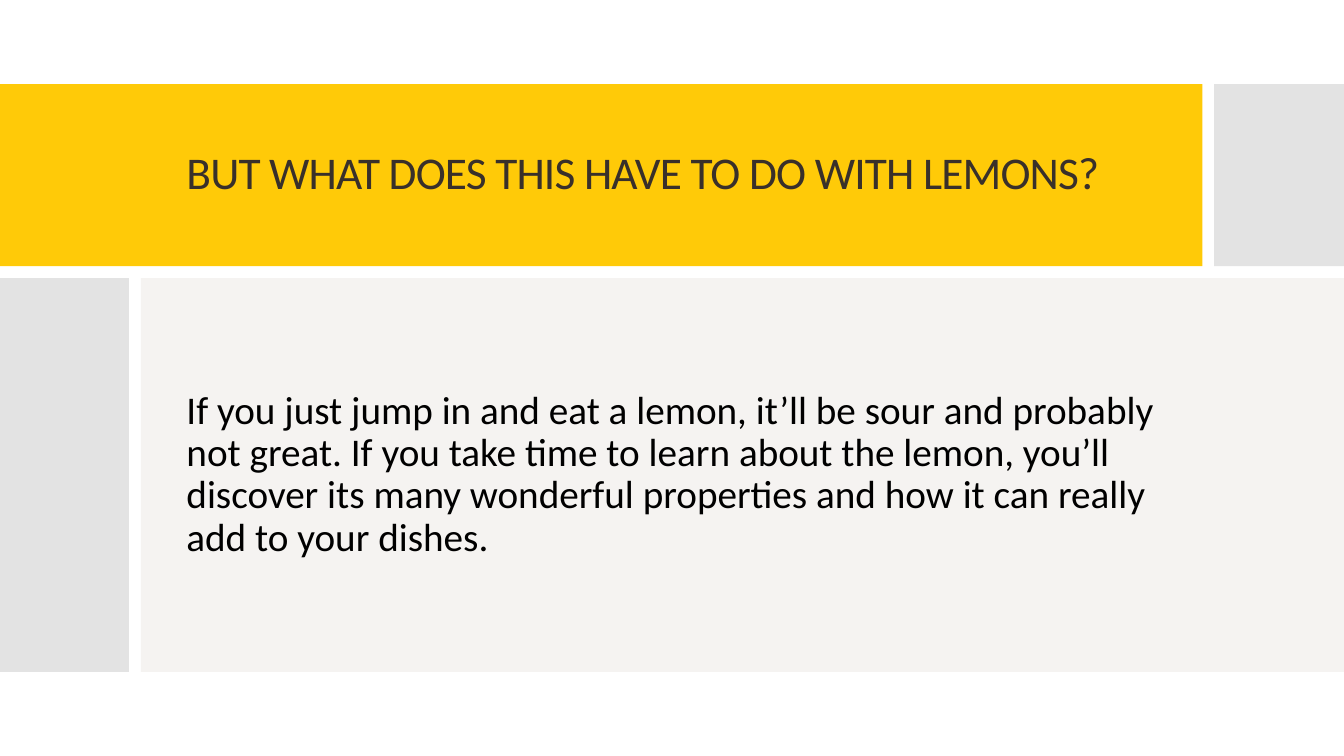
from dataclasses import dataclass

from lxml.etree import SubElement
from pptx import Presentation
from pptx.dml.color import RGBColor as Rgb
from pptx.enum.shapes import MSO_SHAPE as Kind
from pptx.enum.text import MSO_ANCHOR as Anchor, PP_ALIGN as Align
from pptx.oxml.ns import qn
from pptx.util import Cm, Pt


@dataclass(frozen=True)
class Theme:
    font: str = "Calibri"
    back: str = "FFFFFF"
    lemon: str = "FFCA08"
    grey: str = "C8C8C8"
    cream: str = "EFEBE9"
    brown: str = "39302A"
    black: str = "000000"
    head: float = 32.4
    body: float = 28


@dataclass(frozen=True)
class Box:
    left: float
    top: float
    width: float
    height: float

    def place(self):
        return [Cm(side) for side in (self.left, self.top, self.width, self.height)]


THEME = Theme()
WIDE, HIGH = 33.87, 19.05
EDGE = 2.12
GAP = 0.3
SPLIT = 7.01
TEXT_X, TEXT_W = 4.45, 24.94


def add_panel(slide, box, color, alpha=100):
    panel = slide.shapes.add_shape(Kind.RECTANGLE, *box.place())
    panel.shadow.inherit = False
    panel.line.fill.background()
    panel.fill.solid()
    panel.fill.fore_color.rgb = Rgb.from_string(color)
    if alpha < 100:
        tint = panel.fill._xPr.find(".//" + qn("a:srgbClr"))
        SubElement(tint, qn("a:alpha"), val=str(alpha * 1000))


def add_text(slide, box, text, size, color, before=0, track=0):
    frame = slide.shapes.add_textbox(*box.place()).text_frame
    frame.word_wrap = True
    frame.vertical_anchor = Anchor.MIDDLE
    para = frame.paragraphs[0]
    para.alignment = Align.LEFT
    para.line_spacing = 0.9
    para.space_before = Pt(before)
    run = para.add_run()
    run.text = text
    run.font.name = THEME.font
    run.font.size = Pt(size)
    run.font.color.rgb = Rgb.from_string(color)
    if track:
        run.font._element.set("spc", str(round(track * 100)))


def add_header(slide, box, title):
    side = 3.27
    band = box.width - side - GAP
    add_panel(slide, Box(box.left, box.top, band, box.height), THEME.lemon)
    add_panel(slide, Box(box.left + band + GAP, box.top, side, box.height),
              THEME.grey, alpha=50)
    add_text(slide, Box(box.left + TEXT_X, box.top + 0.9, TEXT_W, box.height - 1.8),
             title, THEME.head, THEME.brown, track=-0.6)


def add_body(slide, box, text):
    side = 3.25
    start = side + GAP
    add_panel(slide, Box(box.left, box.top, side, box.height), THEME.grey, alpha=50)
    add_panel(slide, Box(box.left + start, box.top, box.width - start, box.height),
              THEME.cream, alpha=60)
    add_text(slide, Box(box.left + TEXT_X, box.top, TEXT_W, box.height),
             text, THEME.body, THEME.black, before=12)


def main():
    deck = Presentation()
    deck.slide_width, deck.slide_height = Cm(WIDE), Cm(HIGH)
    slide = deck.slides.add_slide(deck.slide_layouts[6])
    slide.background.fill.solid()
    slide.background.fill.fore_color.rgb = Rgb.from_string(THEME.back)
    add_header(slide, Box(0, EDGE, WIDE, SPLIT - GAP - EDGE),
               "BUT WHAT DOES THIS HAVE TO DO WITH LEMONS?")
    add_body(slide, Box(0, SPLIT, WIDE, HIGH - EDGE - SPLIT),
             "If you just jump in and eat a lemon, it’ll be sour and probably "
             "not great. If you take time to learn about the lemon, you’ll "
             "discover its many wonderful properties and how it can really "
             "add to your dishes.")
    deck.save("out.pptx")


if __name__ == "__main__":
    main()
